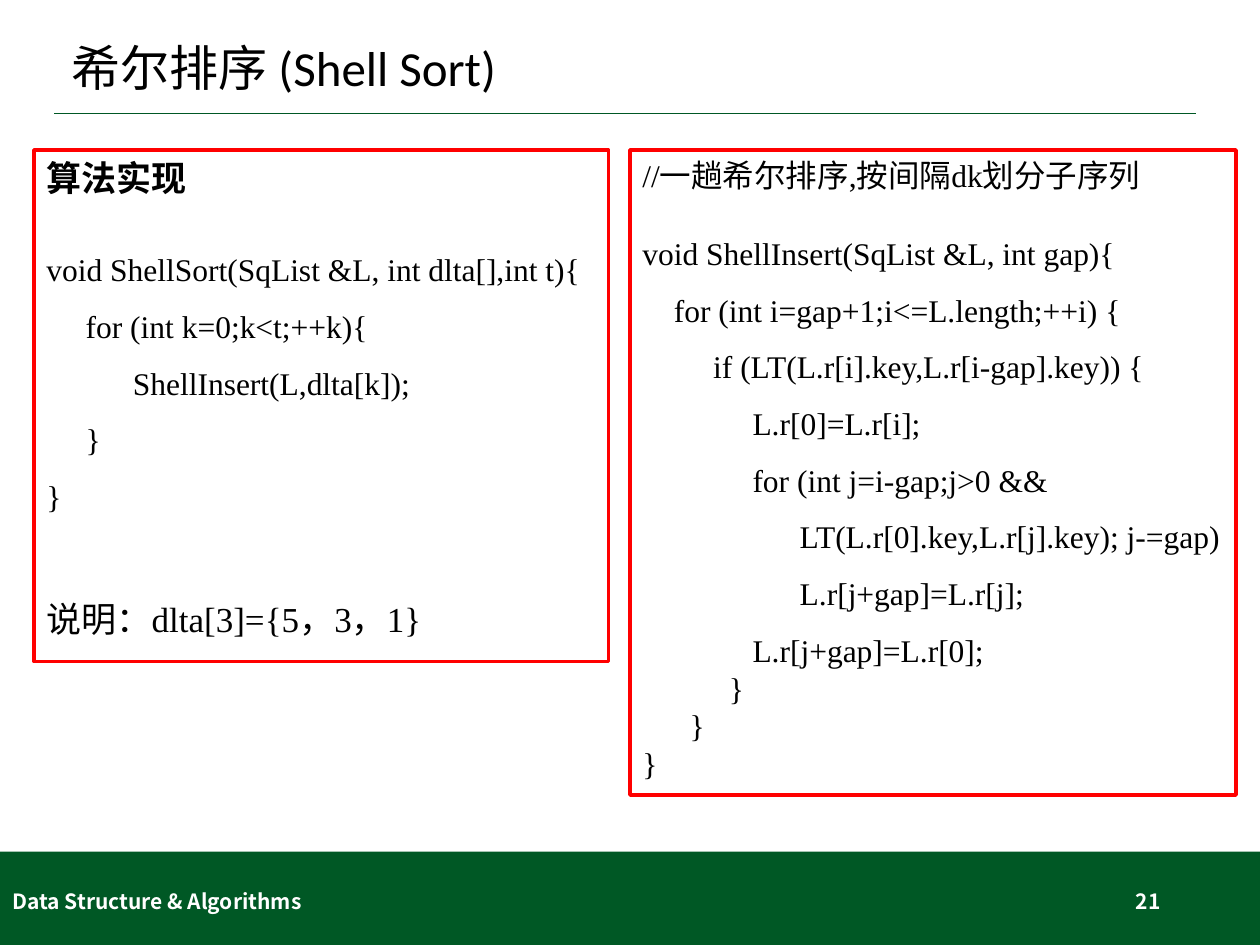
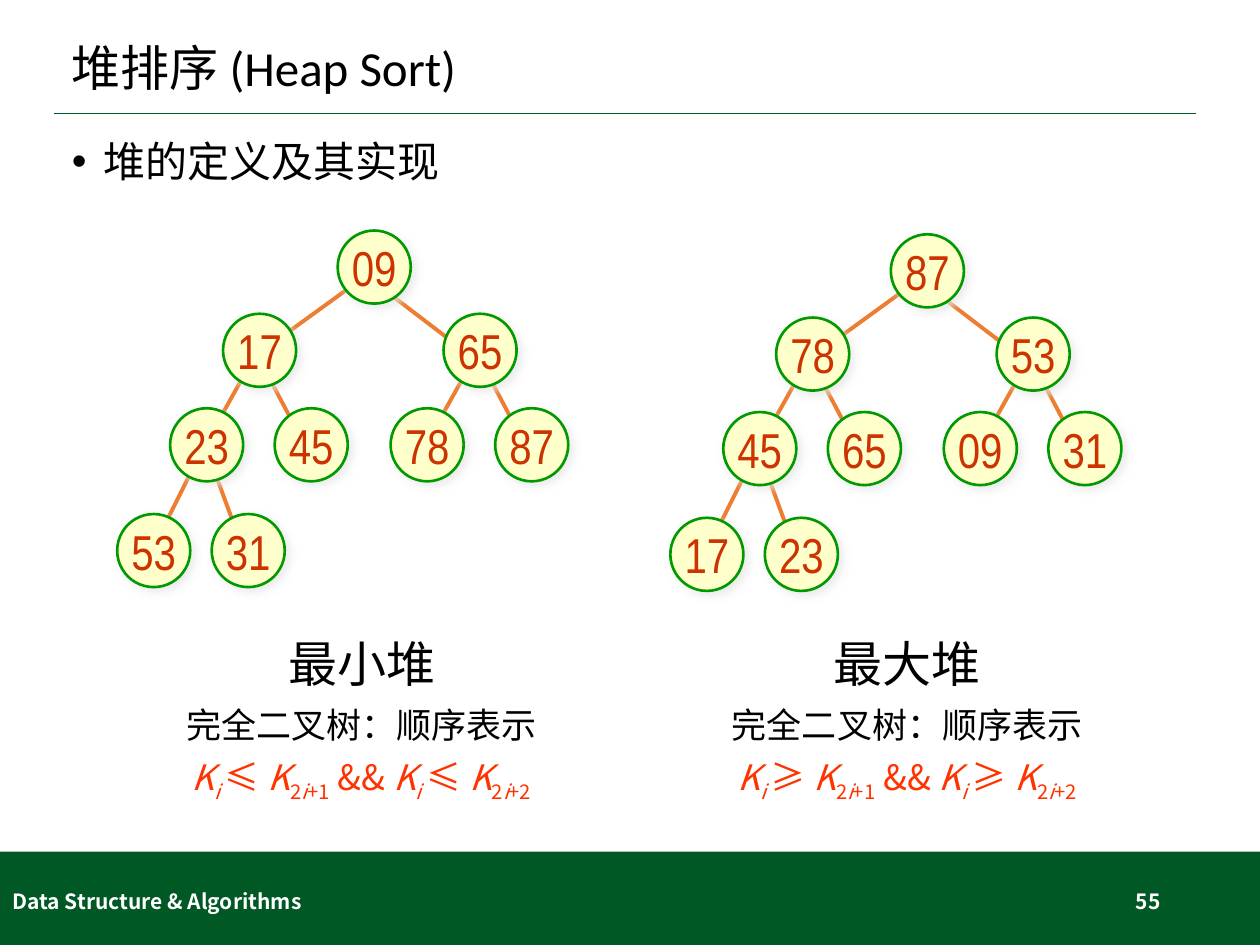
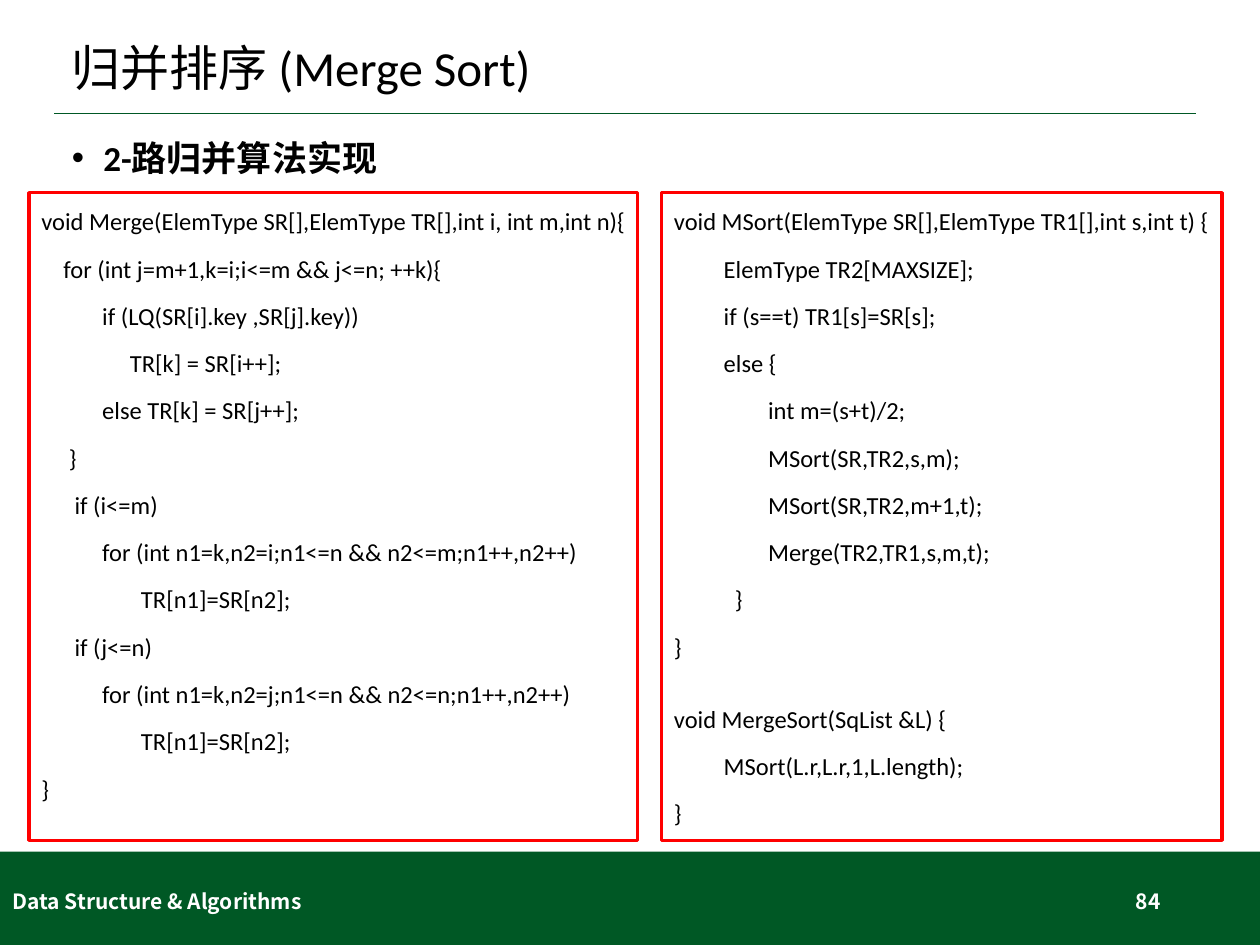
from lxml import etree
from pptx import Presentation
from pptx.dml.color import RGBColor
from pptx.enum.shapes import MSO_CONNECTOR as Connector, MSO_SHAPE as Shape
from pptx.enum.text import MSO_ANCHOR as Anchor, PP_ALIGN as Align
from pptx.oxml import parse_xml
from pptx.oxml.ns import nsdecls, qn
from pptx.util import Inches, Pt

# Shared style
GREEN, RED, BLACK, WHITE = "005825", "FF0000", "000000", "FFFFFF"
NODE_FILL, NODE_LINE, NODE_TEXT = "FFFFCC", "009900", "CC3300"
EDGE, FORMULA, SHADOW = "ED7D31", "FF3300", "E7E6E6"
CALIBRI, CJK, SERIF, NARROW = ("Calibri", "Noto Sans CJK SC",
                               "Times New Roman", "Arial Narrow")
TITLE_BOX = (0.47, 0.23, 9.06, 0.66)
BODY_BOX = (0.47, 1.07, 9.06, 5.54)

# Heap nodes in level order, relative to the tree's corner
NODE_SIZE = 0.58
NODE_SPOTS = [(1.75, 0), (0.84, 0.66), (2.59, 0.66),
              (0.42, 1.41), (1.25, 1.41), (2.17, 1.41), (3, 1.41),
              (0, 2.25), (0.75, 2.25)]
# Shifts of an edge's start and end from the node centres
LEFT_EDGE = ((-0.04, 0.05), (-0.04, 0.05))
RIGHT_EDGE = ((0.04, 0.15), (0, 0.1))

SHELL_SORT = """算法实现
void ShellSort(SqList &L, int dlta[],int t){
     for (int k=0;k<t;++k){
           ShellInsert(L,dlta[k]);
     }
}
说明：dlta[3]={5，3，1}"""

SHELL_INSERT = """//一趟希尔排序,按间隔dk划分子序列
void ShellInsert(SqList &L, int gap){
    for (int i=gap+1;i<=L.length;++i) {
         if (LT(L.r[i].key,L.r[i-gap].key)) {
              L.r[0]=L.r[i];
              for (int j=i-gap;j>0 &&
                    LT(L.r[0].key,L.r[j].key); j-=gap)
                    L.r[j+gap]=L.r[j];
              L.r[j+gap]=L.r[0];
           }
      }
}"""

MERGE = """void Merge(ElemType SR[],ElemType TR[],int i, int m,int n){
    for (int j=m+1,k=i;i<=m && j<=n; ++k){
           if (LQ(SR[i].key ,SR[j].key))
                TR[k] = SR[i++];
           else TR[k] = SR[j++];
     }
      if (i<=m)
           for (int n1=k,n2=i;n1<=n && n2<=m;n1++,n2++)
                  TR[n1]=SR[n2];
      if (j<=n)
           for (int n1=k,n2=j;n1<=n && n2<=n;n1++,n2++)
                  TR[n1]=SR[n2];
}"""

MERGE_SORT = """void MSort(ElemType SR[],ElemType TR1[],int s,int t) {
         ElemType TR2[MAXSIZE];
         if (s==t) TR1[s]=SR[s];
         else {
                 int m=(s+t)/2;
                 MSort(SR,TR2,s,m);
                 MSort(SR,TR2,m+1,t);
                 Merge(TR2,TR1,s,m,t);
           }
}
void MergeSort(SqList &L) {
         MSort(L.r,L.r,1,L.length);
}"""


# Helpers
def rgb(color):
    return RGBColor.from_string(color)


def inches(box):
    return [Inches(value) for value in box]


def style(span, size, font, color=BLACK, bold=False, italic=False, sub=False):
    span.font.size, span.font.name = Pt(size), font
    span.font.bold, span.font.italic = bold, italic
    span.font.color.rgb = rgb(color)
    props = span.font._element
    east = etree.Element(qn("a:ea"), typeface=CJK)
    props.find(qn("a:latin")).addnext(east)
    if sub:
        props.set("baseline", "-25000")


def style_para(para, size, font, **look):
    for span in para.runs:
        style(span, size, font, **look)


def add_shape(page, kind, box, fill=None, line=None, width=1):
    shape = page.shapes.add_shape(kind, *inches(box))
    shape.shadow.inherit = False
    if fill:
        shape.fill.solid()
        shape.fill.fore_color.rgb = rgb(fill)
    else:
        shape.fill.background()
    if line:
        shape.line.color.rgb = rgb(line)
        shape.line.width = Pt(width)
    else:
        shape.line.fill.background()
    return shape


def add_line(page, start, end, color, width):
    line = page.shapes.add_connector(Connector.STRAIGHT, *inches(start + end))
    line.line.color.rgb = rgb(color)
    line.line.width = Pt(width)
    etree.SubElement(line._element.spPr, qn("a:effectLst"))


def add_text(page, box):
    frame = page.shapes.add_textbox(*inches(box)).text_frame
    frame.word_wrap = True
    return frame


def place(holder, box):
    holder.left, holder.top, holder.width, holder.height = inches(box)
    return holder.text_frame


# Title, rule, band and footer of every slide
def add_page(deck, layout, title, number):
    page = deck.slides.add_slide(deck.slide_layouts[layout])
    add_shape(page, Shape.RECTANGLE, (0, 6.76, 10, 0.74), GREEN)
    add_line(page, (0.43, 0.9), (9.49, 0.9), GREEN, 1)
    frame = place(page.shapes.title, TITLE_BOX)
    frame.text, frame.vertical_anchor = title, Anchor.MIDDLE
    para = frame.paragraphs[0]
    para.alignment, para.line_spacing = Align.LEFT, 0.9
    style_para(para, 28, CALIBRI)
    for box, text, align in (
            ((7.06, 6.95, 2.25, 0.4), number, Align.RIGHT),
            ((0, 6.95, 3.38, 0.4), "Data Structure & Algorithms", Align.LEFT)):
        frame = add_text(page, box)
        frame.text, frame.vertical_anchor = text, Anchor.MIDDLE
        frame.paragraphs[0].alignment = align
        style_para(frame.paragraphs[0], 12, CJK, color=WHITE, bold=True)
    return page


def add_bullet(page, text, size, bold=False):
    frame = place(page.placeholders[1], BODY_BOX)
    frame.text = text
    para = frame.paragraphs[0]
    props = para._p.get_or_add_pPr()
    props.set("marL", str(Inches(0.25)))
    props.set("indent", str(-Inches(0.25)))
    etree.SubElement(props, qn("a:buFont"), typeface="Arial")
    etree.SubElement(props, qn("a:buChar"), char="•")
    para.line_spacing, para.space_before = 0.9, Pt(0)
    style_para(para, size, CALIBRI, bold=bold)


# Framed code listing; special maps a line number to its own settings
def add_code(page, box, code, font, size, spacing, before=0, special=None):
    frame = add_shape(page, Shape.RECTANGLE, box, line=RED, width=2).text_frame
    frame.word_wrap, frame.vertical_anchor = True, Anchor.TOP
    frame.margin_right = 0
    frame.text = code
    for index, para in enumerate(frame.paragraphs):
        look = {"font": font, "size": size, "spacing": spacing,
                "before": before if index else 0}
        look.update((special or {}).get(index, {}))
        para.alignment = Align.LEFT
        para.line_spacing = look.pop("spacing")
        para.space_before = Pt(look.pop("before"))
        style_para(para, **look)


# Heap drawn as a binary tree
def add_heap(page, left, top, keys):
    spots = [(left + x, top + y) for x, y in NODE_SPOTS]
    half = NODE_SIZE / 2
    for child in range(1, len(keys)):
        shifts = LEFT_EDGE if child % 2 else RIGHT_EDGE
        ends = [(x + half + dx, y + half + dy) for (x, y), (dx, dy)
                in zip((spots[(child - 1) // 2], spots[child]), shifts)]
        add_line(page, *ends, EDGE, 2.25)
    for key, spot in zip(keys, spots):
        node = add_shape(page, Shape.OVAL, spot + (NODE_SIZE, NODE_SIZE),
                         NODE_FILL, NODE_LINE, 1.5)
        node._element.spPr.find(qn("a:effectLst")).append(parse_xml(
            f'<a:outerShdw {nsdecls("a")} blurRad="{Pt(5)}" dist="{Pt(3)}" '
            f'dir="2700000"><a:srgbClr val="{SHADOW}"><a:alpha val="75000"/>'
            '</a:srgbClr></a:outerShdw>'))
        frame = node.text_frame
        frame.margin_left = frame.margin_right = 0
        frame.margin_top = frame.margin_bottom = 0
        frame.text, frame.word_wrap = key, False
        frame.vertical_anchor = Anchor.MIDDLE
        frame.paragraphs[0].alignment = Align.CENTER
        style_para(frame.paragraphs[0], 28, NARROW, color=NODE_TEXT)


# Heap name, storage and ordering condition
def add_caption(page, box, name, sign):
    frame = add_text(page, box)
    frame.text = f"{name}\n完全二叉树：顺序表示\n"
    heading, storage, condition = frame.paragraphs
    for para in frame.paragraphs:
        para.alignment = Align.CENTER
        para.space_before = Pt(0 if para is heading else 6)
    style_para(heading, 28, CJK)
    style_para(storage, 20, CJK)

    def compare(offset):
        return [("K", True, False), ("i ", True, True),
                (f"{sign} ", False, False), ("K", True, False),
                ("2", False, True), ("i", True, True), (offset, False, True)]

    for text, italic, sub in (compare("+1") + [(" && ", False, False)]
                              + compare("+2")):
        span = condition.add_run()
        span.text = text
        style(span, 20, CJK, FORMULA, italic=italic, sub=sub)


# Slides
def shell_slide(deck):
    page = add_page(deck, 5, "希尔排序 (Shell Sort)", "21")
    add_code(page, (0.27, 1.19, 4.56, 4.06), SHELL_SORT, SERIF, 18, 1.5,
             special={0: {"font": CJK, "size": 20, "bold": True, "spacing": 1},
                      1: {"before": 19}, 6: {"size": 20, "before": 35}})
    closing = {index: {"spacing": 1} for index in (0, 9, 10, 11)}
    add_code(page, (5, 1.19, 4.81, 5.12), SHELL_INSERT, SERIF, 18, 1.5,
             special={**closing, 1: {"before": 12}})


def heap_slide(deck):
    page = add_page(deck, 1, "堆排序 (Heap Sort)", "55")
    add_bullet(page, "堆的定义及其实现", 24)
    add_heap(page, 0.93, 1.83, "09 17 65 23 45 78 87 53 31".split())
    add_heap(page, 5.32, 1.86, "87 78 53 45 65 09 31 17 23".split())
    add_caption(page, (1.24, 4.98, 3.26, 1.41), "最小堆", "≤")
    add_caption(page, (5.29, 4.98, 3.82, 1.41), "最大堆", "≥")


def merge_slide(deck):
    page = add_page(deck, 1, "归并排序 (Merge Sort)", "84")
    add_bullet(page, "2-路归并算法实现", 20, bold=True)
    add_code(page, (0.23, 1.53, 4.83, 5.14), MERGE, CALIBRI, 14, 1.25, 6)
    add_code(page, (5.25, 1.53, 4.45, 5.14), MERGE_SORT, CALIBRI, 14, 1.25, 6,
             special={10: {"before": 20}})


def main():
    deck = Presentation()
    deck.slide_width, deck.slide_height = Inches(10), Inches(7.5)
    shell_slide(deck)
    heap_slide(deck)
    merge_slide(deck)
    deck.save("out.pptx")


if __name__ == "__main__":
    main()
